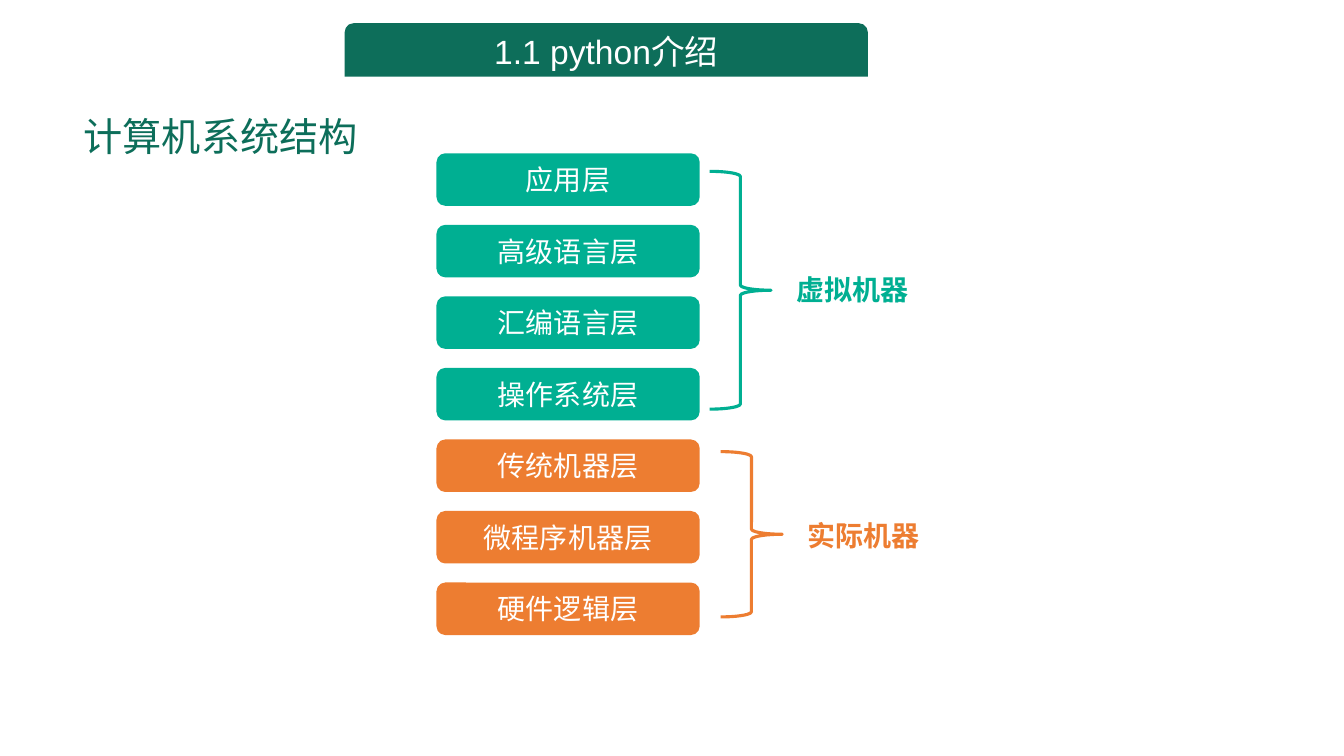
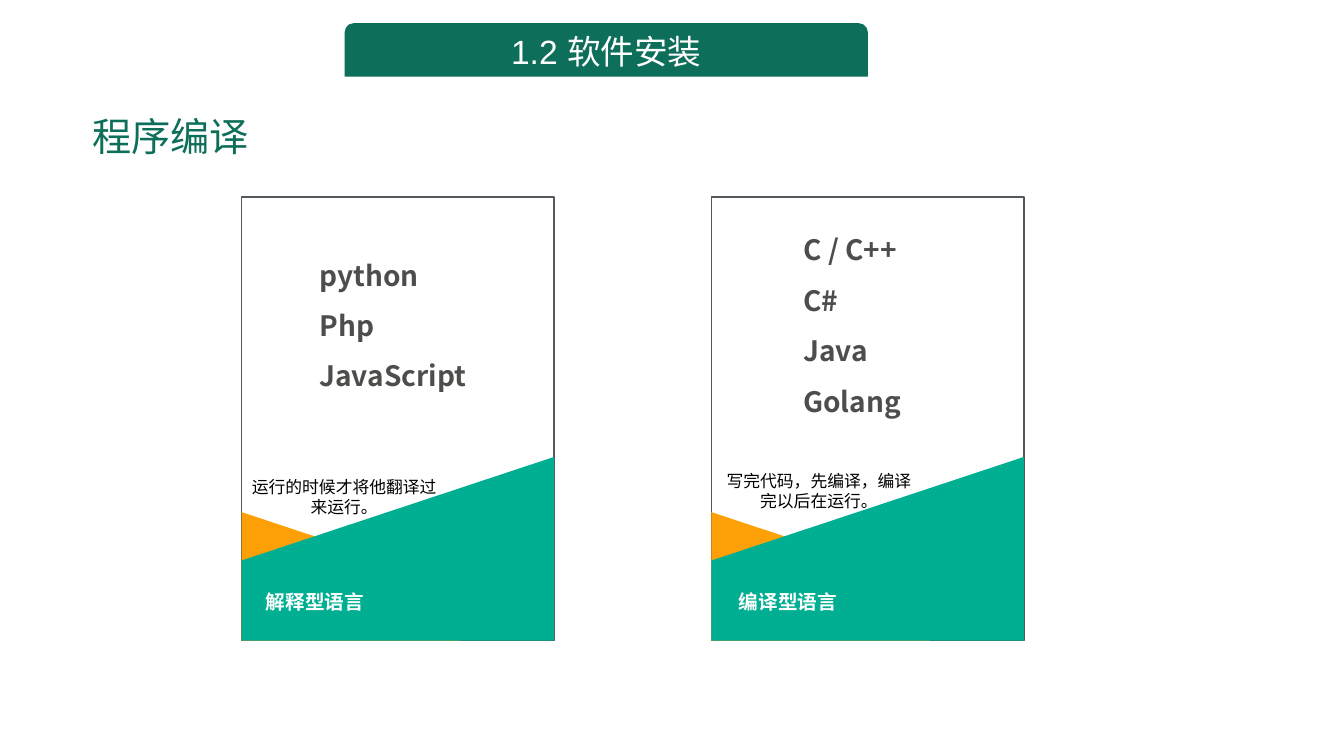
from dataclasses import dataclass

import pptx
import pptx.dml.color
import pptx.enum.shapes
import pptx.enum.text
import pptx.oxml
import pptx.oxml.ns
import pptx.shapes.autoshape
import pptx.slide
import pptx.util

Pt = pptx.util.Pt
Shapes = pptx.enum.shapes.MSO_SHAPE
Align = pptx.enum.text.PP_ALIGN
Anchor = pptx.enum.text.MSO_ANCHOR
Slide = pptx.slide.Slide
Shape = pptx.shapes.autoshape.Shape

COLORS = {
    "forest": "0D6E5A",
    "teal": "00AF92",
    "orange": "ED7D31",
    "amber": "FDA007",
    "frame": "53585F",
    "ink": "4D4E4C",
    "black": "000000",
    "white": "FFFFFF",
}
LATIN = "Arial"
CJK = "Noto Sans CJK SC"

LAYER_LEFT, LAYER_TOP = 311.8, 109.5
LAYER_WIDTH, LAYER_HEIGHT, LAYER_PITCH = 188, 37.5, 51.1
CARD_TOP, CARD_WIDTH, CARD_HEIGHT = 140.6, 223.2, 317


@dataclass(frozen=True)
class Box:
    left: float
    top: float
    width: float
    height: float

    def lengths(self) -> tuple[int, int, int, int]:
        return Pt(self.left), Pt(self.top), Pt(self.width), Pt(self.height)


@dataclass(frozen=True)
class TextStyle:
    size: float
    color: str
    font: str = CJK
    bold: bool = False
    align: Align = Align.LEFT
    anchor: Anchor = Anchor.TOP
    spacing: float = 1.0
    inset: bool = True


@dataclass(frozen=True)
class MachineGroup:
    name: str
    color: str
    layers: tuple[str, ...]
    brace: Box
    label: Box


@dataclass(frozen=True)
class LanguageCard:
    kind: str
    languages: tuple[str, ...]
    note: str
    left: float
    kind_left: float
    languages_left: float
    note_box: Box


BAND = TextStyle(24, "white", LATIN, align=Align.CENTER)
HEADING = TextStyle(28, "forest", spacing=1.02)
LAYER = TextStyle(20, "white", LATIN, align=Align.CENTER, anchor=Anchor.MIDDLE)
KIND = TextStyle(14, "white", bold=True, anchor=Anchor.MIDDLE, inset=False)
LANGUAGES = TextStyle(20, "ink", bold=True, anchor=Anchor.MIDDLE, spacing=1.5, inset=False)
NOTE = TextStyle(12, "black", align=Align.CENTER)

MACHINES = (
    MachineGroup("虚拟机器", "teal", ("应用层", "高级语言层", "汇编语言层", "操作系统层"),
                 Box(506.9, 122.4, 43.9, 169.9), Box(514.8, 187.9, 188, 37.5)),
    MachineGroup("实际机器", "orange", ("传统机器层", "微程序机器层", "硬件逻辑层"),
                 Box(514.8, 322.6, 43.9, 118.1), Box(522.7, 363.6, 188, 37.5)),
)
CARDS = (
    LanguageCard("解释型语言", ("python", "Php", "JavaScript"),
                 "运行的时候才将他翻译过来运行。",
                 172.6, 190, 228.2, Box(168.5, 337, 154.8, 36)),
    LanguageCard("编译型语言", ("C / C++", "C#", "Java", "Golang"),
                 "写完代码，先编译，编译完以后在运行。",
                 508.2, 527.8, 573.8, Box(507.6, 332.6, 154.8, 36)),
)


def rgb(color: str) -> pptx.dml.color.RGBColor:
    return pptx.dml.color.RGBColor.from_string(COLORS[color])


def paint(shape: Shape, fill: str | None = None, line: str | None = None,
          weight: float = 1) -> None:
    shape.shadow.inherit = False
    if fill:
        shape.fill.solid()
        shape.fill.fore_color.rgb = rgb(fill)
    else:
        shape.fill.background()
    if line:
        shape.line.color.rgb = rgb(line)
        shape.line.width = Pt(weight)
    else:
        shape.line.fill.background()


def write(shape: Shape, lines: tuple[str, ...], style: TextStyle) -> None:
    frame = shape.text_frame
    frame.word_wrap = True
    frame.vertical_anchor = style.anchor
    if not style.inset:
        frame.margin_left = frame.margin_top = frame.margin_right = frame.margin_bottom = 0
    frame.text = "\n".join(lines)
    for paragraph in frame.paragraphs:
        paragraph.alignment = style.align
        paragraph.line_spacing = style.spacing
        font = paragraph.font
        font.size = Pt(style.size)
        font.bold = style.bold
        font.color.rgb = rgb(style.color)
        font.name = style.font
        # East Asian glyphs need their own typeface entry
        properties = paragraph._p.find(".//" + pptx.oxml.ns.qn("a:defRPr"))
        properties.append(pptx.oxml.parse_xml(
            f'<a:ea {pptx.oxml.ns.nsdecls("a")} typeface="{CJK}"/>'))


def add_shape(slide: Slide, kind: Shapes, box: Box, fill: str | None = None,
              line: str | None = None, weight: float = 1) -> Shape:
    shape = slide.shapes.add_shape(kind, *box.lengths())
    paint(shape, fill, line, weight)
    return shape


def add_text(slide: Slide, box: Box, lines: tuple[str, ...], style: TextStyle) -> None:
    write(slide.shapes.add_textbox(*box.lengths()), lines, style)


def add_polygon(slide: Slide, points: list[tuple[float, float]],
                fill: str | None = None, line: str | None = None) -> None:
    corners = [(Pt(x), Pt(y)) for x, y in points]
    builder = slide.shapes.build_freeform(*corners[0])
    builder.add_line_segments(corners[1:], close=True)
    paint(builder.convert_to_shape(), fill, line)


def add_topic_slide(deck: pptx.presentation.Presentation, section: str,
                    heading: str, heading_left: float) -> Slide:
    """Add a slide with the section band and its heading."""
    slide = deck.slides.add_slide(deck.slide_layouts[6])
    band = add_shape(slide, Shapes.ROUND_2_SAME_RECTANGLE,
                     Box(246.2, 16.6, 373.7, 38.2), "forest")
    write(band, (section,), BAND)
    add_text(slide, Box(heading_left, 76.3, 403.9, 42.5), (heading,), HEADING)
    return slide


def draw_machines(slide: Slide) -> None:
    top = LAYER_TOP
    for machine in MACHINES:
        for layer in machine.layers:
            bar = add_shape(slide, Shapes.ROUNDED_RECTANGLE,
                            Box(LAYER_LEFT, top, LAYER_WIDTH, LAYER_HEIGHT), machine.color)
            write(bar, (layer,), LAYER)
            top += LAYER_PITCH
        add_shape(slide, Shapes.RIGHT_BRACE, machine.brace, line=machine.color, weight=2.25)
        add_text(slide, machine.label, (machine.name,),
                 TextStyle(20, machine.color, LATIN, True, Align.CENTER, Anchor.MIDDLE))


def draw_card(slide: Slide, card: LanguageCard) -> None:
    left, right = card.left, card.left + CARD_WIDTH
    bottom = CARD_TOP + CARD_HEIGHT
    add_polygon(slide, [(left, CARD_TOP), (right, CARD_TOP), (right, bottom), (left, bottom)],
                line="frame")
    add_polygon(slide, [(left, 365.8), (left + 156, 417.6), (left + 156, bottom),
                        (left, bottom)], "amber")
    add_polygon(slide, [(right, 326.4), (left, 400.4), (left, bottom), (right, bottom)], "teal")
    add_text(slide, Box(card.kind_left, 416.2, 185, 26.6), (card.kind,), KIND)
    add_text(slide, Box(card.languages_left, 146.4, 142, 160), card.languages, LANGUAGES)
    add_text(slide, card.note_box, (card.note,), NOTE)


def main() -> None:
    deck = pptx.Presentation()
    deck.slide_width, deck.slide_height = Pt(960), Pt(540)
    draw_machines(add_topic_slide(deck, "1.1 python介绍", "计算机系统结构", 52.6))
    compiling = add_topic_slide(deck, "1.2 软件安装", "程序编译", 59)
    for card in CARDS:
        draw_card(compiling, card)
    deck.save("out.pptx")


if __name__ == "__main__":
    main()
